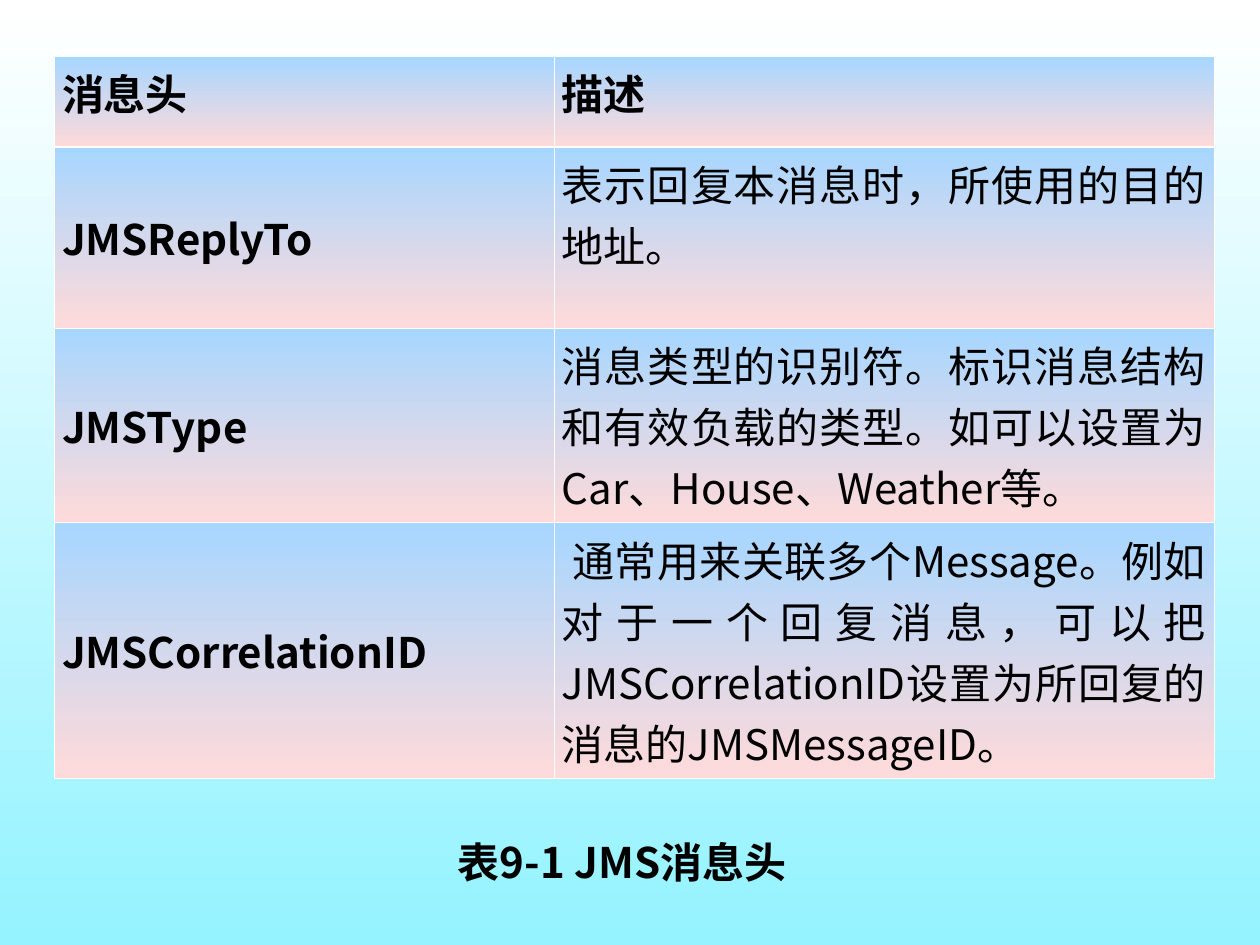
from dataclasses import dataclass

from lxml import etree
from pptx import Presentation
from pptx.dml.color import RGBColor
from pptx.enum.text import MSO_ANCHOR, MSO_AUTO_SIZE, PP_ALIGN
from pptx.oxml.ns import qn
from pptx.util import Emu, Pt

TOP, MIDDLE = MSO_ANCHOR.TOP, MSO_ANCHOR.MIDDLE
JUSTIFY, CENTER = PP_ALIGN.JUSTIFY, PP_ALIGN.CENTER
GROW = MSO_AUTO_SIZE.SHAPE_TO_FIT_TEXT
BLANK_LAYOUT = 6
PX_PER_INCH = 126


def px(n):
    return Emu(round(n * 914400 / PX_PER_INCH))


@dataclass(frozen=True)
class Theme:
    font: str = "Noto Sans CJK SC"
    size: int = 24
    text: str = "000000"
    line: str = "FFFFFF"
    background: tuple = ("FFFFFF", "94F3FF")
    cell: tuple = ("A7D6FF", "FFDADA")
    thin: float = 0.45
    thick: float = 1.47


class SlideBuilder:
    def __init__(self, slide, theme):
        self.slide = slide
        self.theme = theme

    def gradient(self, fill, colors):
        """Fill from top to bottom with two colours."""
        fill.gradient()
        fill.gradient_angle = 270
        for stop, color in zip(fill.gradient_stops, colors):
            stop.color.rgb = RGBColor.from_string(color)

    def background(self):
        self.gradient(self.slide.background.fill, self.theme.background)

    def add_text(self, tf, text, bold, align):
        p = tf.paragraphs[0]
        p.alignment = align
        r = p.add_run()
        r.text = text
        style = {"name": self.theme.font, "size": Pt(self.theme.size), "bold": bold}
        for name, value in style.items():
            setattr(r.font, name, value)
        r.font.color.rgb = RGBColor.from_string(self.theme.text)
        ea = etree.SubElement(r.font._element, qn("a:ea"))
        ea.set("typeface", self.theme.font)

    def borders(self, cell, widths):
        tcPr = cell._tc.get_or_add_tcPr()
        for side, width in widths.items():
            ln = etree.SubElement(tcPr, qn(f"a:ln{side}"), w=str(Pt(width)))
            solid = etree.SubElement(ln, qn("a:solidFill"))
            etree.SubElement(solid, qn("a:srgbClr"), val=self.theme.line)

    def table(self, left, top, widths, heights, rows):
        frame = self.slide.shapes.add_table(
            len(rows), len(widths), px(left), px(top), px(sum(widths)), px(sum(heights)))
        table = frame.table
        table.horz_banding = False
        for column, width in zip(table.columns, widths):
            column.width = px(width)
        for row, height in zip(table.rows, heights):
            row.height = px(height)

        thin, thick = self.theme.thin, self.theme.thick
        for i, row in enumerate(rows):
            for j, text in enumerate(row):
                cell = table.cell(i, j)
                is_header, is_name = i == 0, j == 0
                layout = {
                    "margin_left": px(8), "margin_right": px(8),
                    "margin_top": px(6), "margin_bottom": px(6),
                    "vertical_anchor": MIDDLE if is_name and not is_header else TOP,
                }
                for name, value in layout.items():
                    setattr(cell, name, value)
                self.borders(cell, {"L": thin, "R": thin,
                                    "T": thick if i == 1 else thin,
                                    "B": thick if is_header else thin})
                self.gradient(cell.fill, self.theme.cell)
                self.add_text(cell.text_frame, text, is_header or is_name, JUSTIFY)

    def caption(self, left, top, width, height, text):
        sp = self.slide.shapes.add_textbox(px(left), px(top), px(width), px(height))
        tf = sp.text_frame
        tf.word_wrap = True
        tf.auto_size = GROW
        self.add_text(tf, text, True, CENTER)


HEADERS = [
    ("消息头", "描述"),
    ("JMSReplyTo", "表示回复本消息时，所使用的目的地址。"),
    ("JMSType",
     "消息类型的识别符。标识消息结构和有效负载的类型。如可以设置为Car、House、Weather等。"),
    ("JMSCorrelationID",
     " 通常用来关联多个Message。例如对于一个回复消息，可以把JMSCorrelationID"
     "设置为所回复的消息的JMSMessageID。"),
]


def main():
    prs = Presentation()
    prs.slide_width, prs.slide_height = px(1260), px(945)
    s = prs.slides.add_slide(prs.slide_layouts[BLANK_LAYOUT])
    builder = SlideBuilder(s, Theme())

    # Background
    builder.background()
    # Message header table
    builder.table(54, 56, [500, 660], [91, 181, 151, 202], HEADERS)
    # Table caption
    builder.caption(260, 830, 724, 63, "表9-1 JMS消息头")

    prs.save("out.pptx")


if __name__ == "__main__":
    main()
